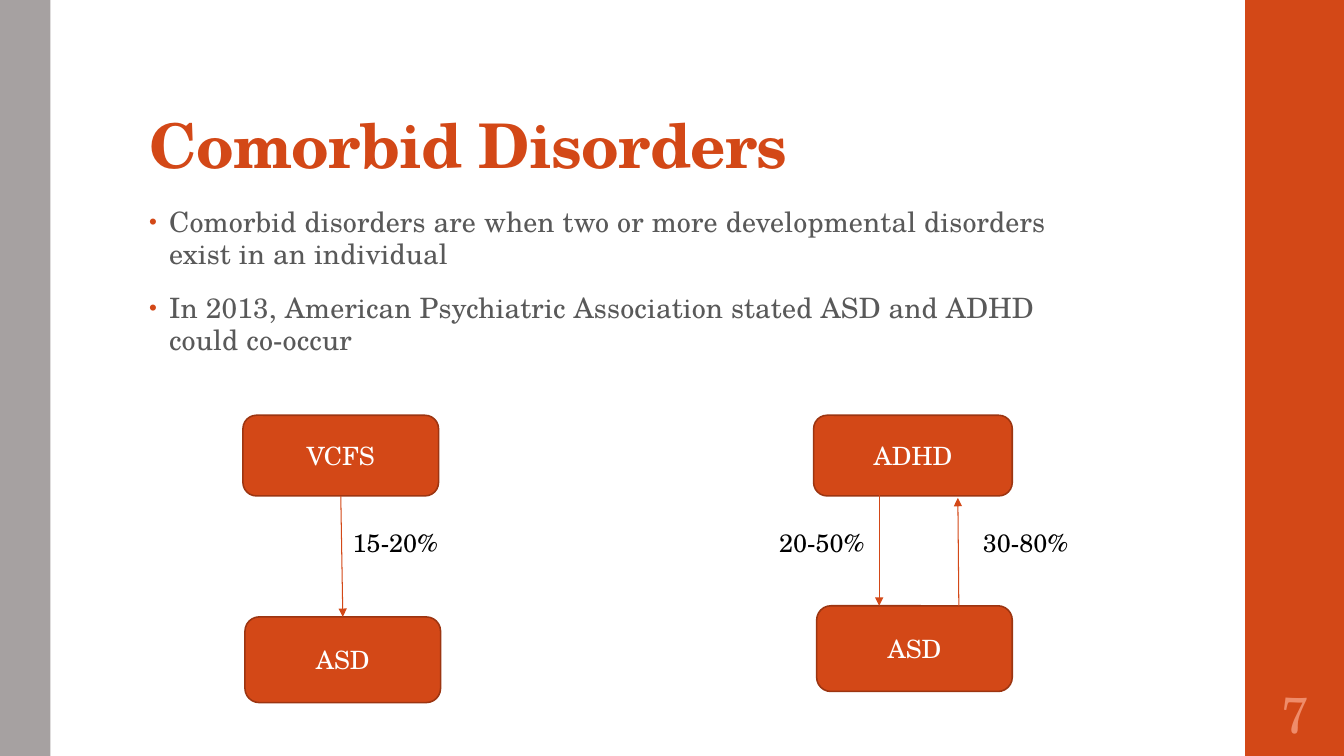
import pptx
import pptx.util
import pptx.dml.color
import pptx.enum.shapes
import pptx.enum.text
import pptx.oxml.ns
from lxml import etree
from pptx.util import Inches

FONT = "TeX Gyre Schola"
COLORS = {
    "accent": "D34817",
    "edge": "9C3511",
    "strip": "A6A1A1",
    "body": "595959",
    "number": "EF8C6A",
    "white": "FFFFFF",
    "black": "000000",
}
ALIGN = pptx.enum.text.PP_ALIGN
ANCHOR = pptx.enum.text.MSO_ANCHOR
SHAPE = pptx.enum.shapes.MSO_SHAPE


def rgb(name):
    return pptx.dml.color.RGBColor.from_string(COLORS[name])


def add_xml(parent, tag, **attrs):
    return etree.SubElement(parent, pptx.oxml.ns.qn(tag), attrs)


def add_run(p, text, size, color, bold=False, spacing=0):
    r = p.add_run()
    r.text = text
    r.font.name = FONT
    r.font.size = pptx.util.Pt(size)
    r.font.bold = bold
    r.font.color.rgb = rgb(color)
    if spacing:
        r.font._element.set("spc", str(spacing))


def add_shape(s, kind, box, fill):
    sp = s.shapes.add_shape(kind, *map(Inches, box))
    sp.shadow.inherit = False
    sp.fill.solid()
    sp.fill.fore_color.rgb = rgb(fill)
    sp.line.fill.background()
    return sp


def add_node(s, text, box):
    sp = add_shape(s, SHAPE.ROUNDED_RECTANGLE, box, "accent")
    sp.line.color.rgb = rgb("edge")
    sp.line.width = pptx.util.Pt(1.1)
    tf = sp.text_frame
    tf.vertical_anchor = ANCHOR.MIDDLE
    p = tf.paragraphs[0]
    p.alignment = ALIGN.CENTER
    add_run(p, text, 18, "white")


def add_arrow(s, start, end):
    kind = pptx.enum.shapes.MSO_CONNECTOR.STRAIGHT
    cn = s.shapes.add_connector(kind, *map(Inches, start + end))
    cn.line.color.rgb = rgb("accent")
    cn.line.width = pptx.util.Pt(0.75)
    add_xml(cn.line._get_or_add_ln(), "a:tailEnd", type="triangle")
    add_xml(cn._element.spPr, "a:effectLst")


def add_text_box(s, box, anchor=ANCHOR.TOP):
    tf = s.shapes.add_textbox(*map(Inches, box)).text_frame
    tf.word_wrap = True
    tf.vertical_anchor = anchor
    return tf


def add_title(s, text):
    tf = add_text_box(s, (1.38, 0.32, 10.6, 1.53), ANCHOR.BOTTOM)
    tf.margin_top = Inches(0.03)
    p = tf.paragraphs[0]
    p.line_spacing = 0.9
    add_run(p, text, 44, "accent", bold=True, spacing=-50)


def add_bullets(s, items):
    tf = add_text_box(s, (1.38, 2, 9.4, 4.76))
    for i, item in enumerate(items):
        p = tf.add_paragraph() if i else tf.paragraphs[0]
        p.line_spacing = 0.95
        p.space_before = pptx.util.Pt(14)
        p.space_after = pptx.util.Pt(2)
        pPr = p._p.get_or_add_pPr()
        pPr.set("marL", str(Inches(0.2)))
        pPr.set("indent", str(-Inches(0.2)))
        add_xml(add_xml(pPr, "a:buClr"), "a:srgbClr", val=COLORS["accent"])
        add_xml(pPr, "a:buSzPct", val="80000")
        add_xml(pPr, "a:buFont", typeface="Arial")
        add_xml(pPr, "a:buChar", char="•")
        add_run(p, item, 20, "body", spacing=10)


def add_label(s, text, left, width):
    tf = add_text_box(s, (left, 5.18, width, 0.4))
    tf.auto_size = pptx.enum.text.MSO_AUTO_SIZE.SHAPE_TO_FIT_TEXT
    add_run(tf.paragraphs[0], text, 18, "black")


def add_slide_number(s, text):
    tf = add_text_box(s, (12.35, 6.75, 1, 0.65), ANCHOR.MIDDLE)
    tf.margin_left = tf.margin_right = Inches(0.05)
    p = tf.paragraphs[0]
    p.alignment = ALIGN.CENTER
    add_run(p, text, 36, "number")


def main():
    prs = pptx.Presentation()
    prs.slide_width = Inches(13.33)
    prs.slide_height = Inches(7.5)
    s = prs.slides.add_slide(prs.slide_layouts[6])

    add_shape(s, SHAPE.RECTANGLE, (12.35, 0, 0.98, 7.5), "accent")
    add_shape(s, SHAPE.RECTANGLE, (0, 0, 0.5, 7.5), "strip")
    add_title(s, "Comorbid Disorders")
    add_bullets(s, [
        "Comorbid disorders are when two or more developmental disorders exist in an individual",
        "In 2013, American Psychiatric Association stated ASD and ADHD could co-occur",
    ])
    add_slide_number(s, "7")

    for text, box in [
        ("VCFS", (2.41, 4.12, 1.94, 0.8)),
        ("ASD", (2.43, 6.12, 1.94, 0.85)),
        ("ADHD", (8.07, 4.12, 1.97, 0.8)),
        ("ASD", (8.1, 6.01, 1.94, 0.85)),
    ]:
        add_node(s, text, box)

    for start, end in [
        ((3.38, 4.92), (3.4, 6.12)),
        ((8.72, 4.82), (8.72, 6.01)),
        ((9.51, 6.01), (9.5, 4.94)),
    ]:
        add_arrow(s, start, end)

    for text, left, width in [
        ("15-20%", 3.4, 1.62),
        ("20-50%", 7.63, 1.09),
        ("30-80%", 9.65, 1.13),
    ]:
        add_label(s, text, left, width)

    prs.save("out.pptx")


if __name__ == "__main__":
    main()
